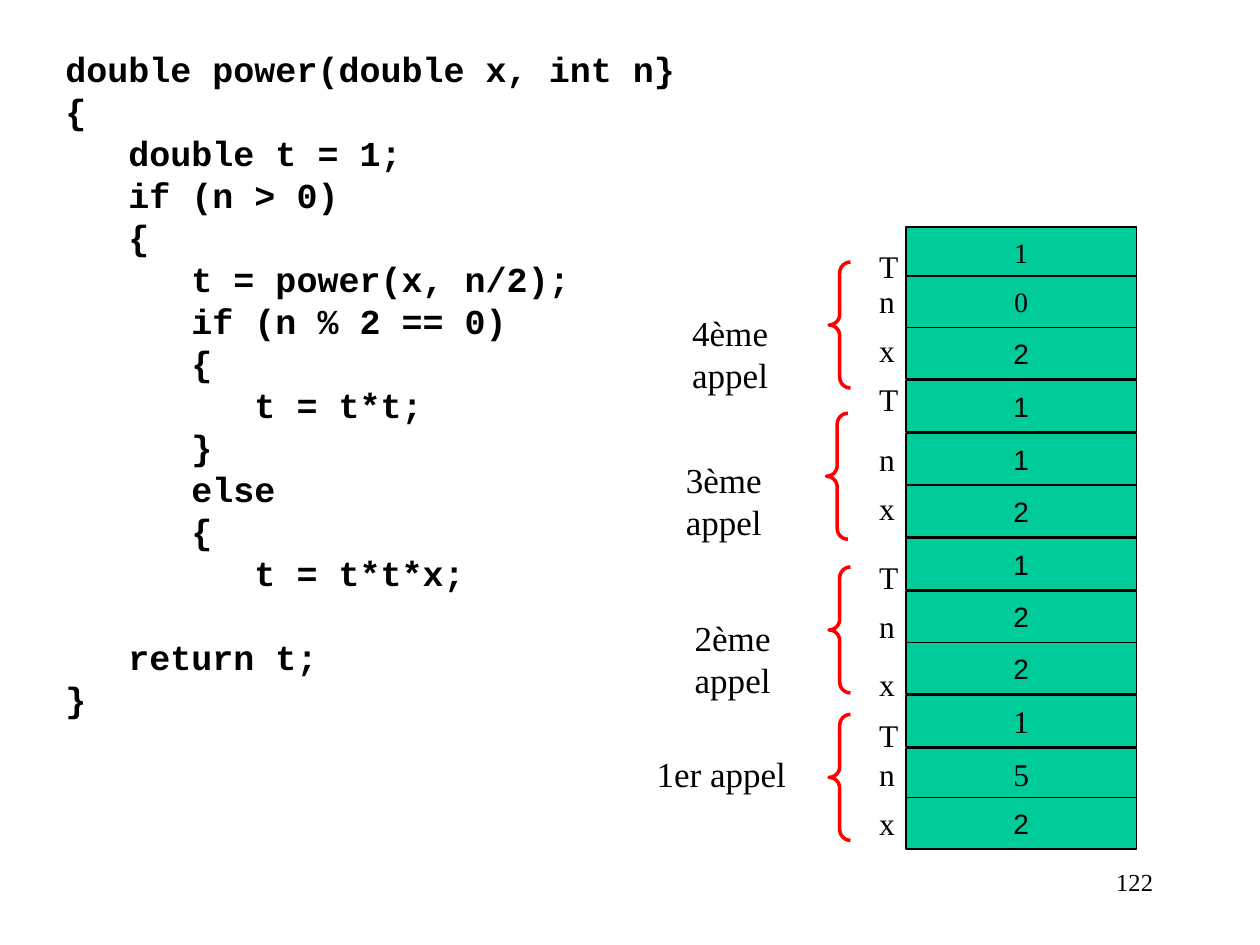
from pptx import Presentation
from pptx.dml.color import RGBColor
from pptx.enum.shapes import MSO_SHAPE
from pptx.enum.text import MSO_ANCHOR, MSO_AUTO_SIZE, PP_ALIGN
from pptx.util import Emu, Pt

SERIF, SANS, MONO = "Times New Roman", "Arial", "Courier New"
BLACK, GREEN, RED = "000000", "00CC99", "FF0000"

CODE = """double power(double x, int n}
{
   double t = 1;
   if (n > 0)
   {
      t = power(x, n/2);
      if (n % 2 == 0)
      {
         t = t*t;
      }
      else
      {
         t = t*t*x;
   return t;
}"""

CALLS = [
    ("4ème appel", (506, 242, 147), (658, 208),
     [("T", 191, 180, "1", SERIF, 16), ("n", 219, 219, "0", SERIF, 16), ("x", 258, 260, "2", SANS, 16)]),
    ("3ème appel", (501, 359, 147), (656, 328),
     [("T", 297, 302, "1", SANS, 16), ("n", 344, 344, "1", SANS, 16), ("x", 383, 385, "2", SANS, 16)]),
    ("2ème appel", (508, 484, 147), (658, 450),
     [("T", 438, 427, "1", SANS, 16), ("n", 477, 469, "2", SANS, 16), ("x", 523, 510, "2", SANS, 16)]),
    ("1er appel", (511, 592, 123), (658, 567),
     [("T", 563, 552, "1", SERIF, 18), ("n", 594, 594, "5", SERIF, 18), ("x", 633, 633, "2", SANS, 16)]),
]


def px(length):
    """Turn px, a hundred to the inch, into EMU."""
    return Emu(length * 9144)


def color(hex_value):
    """Turn a hex string into a colour."""
    return RGBColor.from_string(hex_value)


class StackSlide:
    """Hold the style and the slide on which the call stack is drawn."""

    def __init__(self, slide):
        """Keep the slide to draw on."""
        self.shapes = slide.shapes

    def style(self, paragraph, font, size, align, bold=False):
        """Set the alignment and font of a paragraph."""
        paragraph.alignment = align
        paragraph.font.name = font
        paragraph.font.size = Pt(size)
        paragraph.font.bold = bold
        paragraph.font.color.rgb = color(BLACK)

    def text(self, box, words, size, align=PP_ALIGN.LEFT, font=SERIF, bold=False, wrap=True, grow=True):
        """Add a text box with one paragraph a line."""
        frame = self.shapes.add_textbox(*map(px, box)).text_frame
        frame.word_wrap = wrap
        frame.auto_size = MSO_AUTO_SIZE.SHAPE_TO_FIT_TEXT if grow else MSO_AUTO_SIZE.NONE
        frame.text = words
        for paragraph in frame.paragraphs:
            self.style(paragraph, font, size, align, bold)
        return frame

    def code(self, box, listing):
        """Add the program listing with a gap before its return."""
        for line in self.text(box, listing, 20, font=MONO, bold=True, grow=False).paragraphs:
            line.line_spacing = Pt(24)
            if "return" in line.text:
                line.space_before = Pt(24)

    def cell(self, top, value, font, size):
        """Add one cell of the stack."""
        cell = self.shapes.add_shape(MSO_SHAPE.RECTANGLE, px(719), px(top), px(183), px(41))
        cell.shadow.inherit = False
        cell.fill.solid()
        cell.fill.fore_color.rgb = color(GREEN)
        cell.line.color.rgb = color(BLACK)
        cell.line.width = Pt(1)
        frame = cell.text_frame
        frame.word_wrap = False
        frame.vertical_anchor = MSO_ANCHOR.MIDDLE
        frame.text = value
        self.style(frame.paragraphs[0], font, size, PP_ALIGN.CENTER)

    def brace(self, left, top):
        """Add the brace that spans one call."""
        brace = self.shapes.add_shape(MSO_SHAPE.LEFT_BRACE, px(left), px(top), px(17), px(100))
        brace.shadow.inherit = False
        brace.adjustments[0] = 0.5
        brace.fill.background()
        brace.line.color.rgb = color(RED)
        brace.line.width = Pt(2)


def main():
    """Build the slide and save it."""
    deck = Presentation()
    deck.slide_width, deck.slide_height = px(1000), px(750)
    stack = StackSlide(deck.slides.add_slide(deck.slide_layouts[6]))
    stack.code((42, 33, 817, 577), CODE)
    for call, (left, top, width), brace, variables in CALLS:
        stack.text((left, top, width, 44), call, 20, PP_ALIGN.CENTER, wrap=False)
        stack.brace(*brace)
        for name, name_top, cell_top, value, font, size in variables:
            stack.cell(cell_top, value, font, size)
            stack.text((688, name_top, 23, 40), name, 18)
    stack.text((717, 683, 208, 50), "122", 14, PP_ALIGN.RIGHT, grow=False)
    deck.save("out.pptx")


if __name__ == "__main__":
    main()
